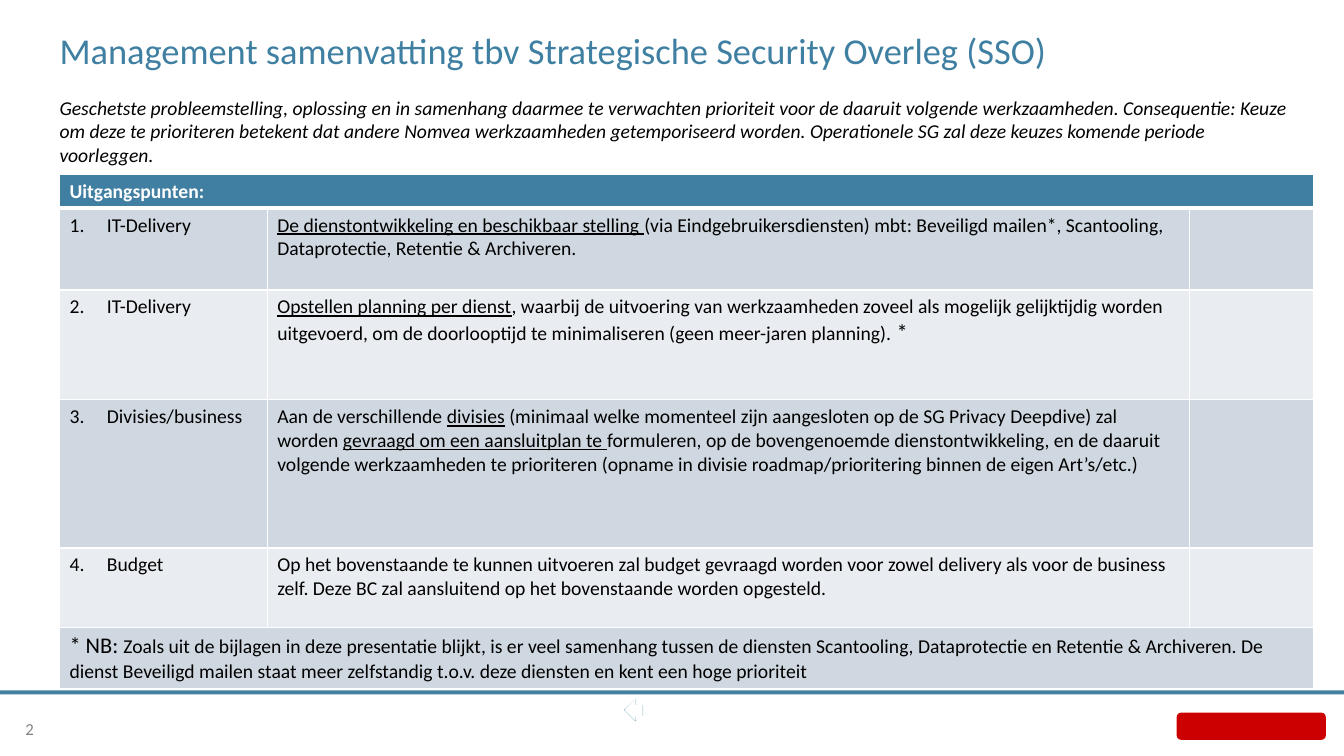
from pptx import Presentation
from pptx.dml.color import RGBColor
from pptx.enum.shapes import MSO_SHAPE
from pptx.enum.text import MSO_ANCHOR, MSO_AUTO_SIZE, PP_ALIGN
from pptx.oxml.xmlchemy import OxmlElement
from pptx.util import Inches, Pt

FONT = "Calibri"
TITLE_BLUE, BLUE = "3E7FA2", "417FA2"
BLACK, WHITE, GREY, RED = "000000", "FFFFFF", "828282", "CC0000"
BANDS = ("CFD8E0", "E9ECF0")

TITLE = "Management samenvatting tbv Strategische Security Overleg (SSO)"
INTRO = (
    "Geschetste probleemstelling, oplossing en in samenhang daarmee te verwachten prioriteit "
    "voor de daaruit volgende werkzaamheden. Consequentie: Keuze om deze te prioriteren betekent "
    "dat andere Nomvea werkzaamheden getemporiseerd worden. Operationele SG zal deze keuzes "
    "komende periode voorleggen."
)
COLUMNS = (2.06, 9.15, 1.23)
ROWS = (0.33, 0.81, 1.09, 1.47, 0.79, 0.6)
HEADING = "Uitgangspunten:"
# Each point: owner, then spans of (text, format)
UNDERLINE, LARGE = {"underline": True}, {"size": 16}
POINTS = [
    ("IT-Delivery", [
        ("De dienstontwikkeling en beschikbaar stelling ", UNDERLINE),
        ("(via Eindgebruikersdiensten) mbt: Beveiligd mailen*, Scantooling, Dataprotectie, "
         "Retentie & Archiveren.", {}),
    ]),
    ("IT-Delivery", [
        ("Opstellen planning per dienst", UNDERLINE),
        (", waarbij de uitvoering van werkzaamheden zoveel als mogelijk gelijktijdig worden "
         "uitgevoerd, om de doorlooptijd te minimaliseren (geen meer-jaren planning). ", {}),
        ("*", LARGE),
    ]),
    ("Divisies/business", [
        ("Aan de verschillende ", {}),
        ("divisies", UNDERLINE),
        (" (minimaal welke momenteel zijn aangesloten op de SG Privacy Deepdive) zal worden ", {}),
        ("gevraagd om een aansluitplan te ", UNDERLINE),
        ("formuleren, op de bovengenoemde dienstontwikkeling, en de daaruit volgende "
         "werkzaamheden te prioriteren (opname in divisie roadmap/prioritering binnen de eigen "
         "Art’s/etc.)", {}),
    ]),
    ("Budget", [
        ("Op het bovenstaande te kunnen uitvoeren zal budget gevraagd worden voor zowel delivery "
         "als voor de business zelf. Deze BC zal aansluitend op het bovenstaande worden "
         "opgesteld.", {}),
    ]),
]
NOTE = [
    ("* NB: ", LARGE),
    ("Zoals uit de bijlagen in deze presentatie blijkt, is er veel samenhang tussen de diensten "
     "Scantooling, Dataprotectie en Retentie & Archiveren. De dienst Beveiligd mailen staat meer "
     "zelfstandig t.o.v. deze diensten en kent een hoge prioriteit", {}),
]


def color(value):
    return RGBColor.from_string(value)


def place(shape, box):
    shape.left, shape.top, shape.width, shape.height = map(Inches, box)


def add_span(para, text, size=14, fill=BLACK, bold=False, italic=False, underline=False):
    span = para.add_run()
    span.text = text
    font = span.font
    font.name, font.size, font.bold, font.italic = FONT, Pt(size), bold, italic
    font.underline = underline
    font.color.rgb = color(fill)


def set_bullet(para, number=None):
    """Number the paragraph, or take its bullet away when there is no number."""
    properties = para._p.get_or_add_pPr()
    indent = Inches(0.37) if number else 0
    properties.set("marL", str(indent))
    properties.set("indent", str(-indent))
    bullet = OxmlElement("a:buAutoNum" if number else "a:buNone")
    if number:
        bullet.set("type", "arabicPeriod")
        bullet.set("startAt", str(number))
    properties.append(bullet)


def prepare_frame(shape, anchor):
    frame = shape.text_frame
    frame.margin_left = frame.margin_top = frame.margin_right = frame.margin_bottom = 0
    frame.word_wrap = True
    frame.auto_size = MSO_AUTO_SIZE.NONE
    frame.vertical_anchor = anchor
    return frame.paragraphs[0]


def fill_title(page, box):
    title = page.shapes.title
    place(title, box)
    para = prepare_frame(title, MSO_ANCHOR.MIDDLE)
    para.alignment = PP_ALIGN.LEFT
    para.line_spacing = 0.8
    add_span(para, TITLE, 26, TITLE_BLUE)


def fill_intro(page, box):
    body = page.placeholders[1]
    place(body, box)
    para = prepare_frame(body, MSO_ANCHOR.TOP)
    set_bullet(para)
    para.space_before = Pt(0)
    add_span(para, INTRO, italic=True)


def style_cell(cell, fill, bottom=1, top=1):
    """Draw white borders, with widths in points, and fill the cell."""
    properties = cell._tc.get_or_add_tcPr()
    for side, width in (("L", 1), ("R", 1), ("T", top), ("B", bottom)):
        line = OxmlElement(f"a:ln{side}")
        line.set("w", str(Pt(width)))
        paint = OxmlElement("a:solidFill")
        tint = OxmlElement("a:srgbClr")
        tint.set("val", WHITE)
        paint.append(tint)
        line.append(paint)
        properties.append(line)
    cell.fill.solid()
    cell.fill.fore_color.rgb = color(fill)


def add_points_table(page, box):
    frame = page.shapes.add_table(len(ROWS), len(COLUMNS), *map(Inches, box))
    table = frame.table
    table.first_row = table.horz_banding = False
    for column, width in zip(table.columns, COLUMNS):
        column.width = Inches(width)
    for index, (row, height) in enumerate(zip(table.rows, ROWS)):
        row.height = Inches(height)
        for cell in row.cells:
            style_cell(cell, BANDS[(index - 1) % 2] if index else BLUE,
                       bottom=1 if index else 3, top=3 if index == 1 else 1)
    last = len(ROWS) - 1
    for index in (0, last):
        table.cell(index, 0).merge(table.cell(index, len(COLUMNS) - 1))

    add_span(table.cell(0, 0).text_frame.paragraphs[0], HEADING, fill=WHITE, bold=True)
    for number, (owner, spans) in enumerate(POINTS, 1):
        para = table.cell(number, 0).text_frame.paragraphs[0]
        set_bullet(para, number)
        add_span(para, owner)
        add_spans(table.cell(number, 1), spans)
    add_spans(table.cell(last, 0), NOTE)


def add_spans(cell, spans):
    para = cell.text_frame.paragraphs[0]
    for text, style in spans:
        add_span(para, text, **style)


def add_block(page, kind, box, fill):
    block = page.shapes.add_shape(kind, *map(Inches, box))
    block.shadow.inherit = False
    block.fill.solid()
    block.fill.fore_color.rgb = color(fill)
    block.line.fill.background()


def add_back_arrow(page, left, top):
    """Draw a hollow left arrow from two outlines in hundredths of an inch."""
    outer = [(13, 0), (13, 7), (20, 7), (20, 19), (13, 19), (13, 25), (0, 12)]
    inner = [(12, 2), (2, 12), (12, 22), (12, 18), (19, 18), (19, 8), (12, 8)]
    builder = page.shapes.build_freeform(*outer[0], scale=Inches(0.01))
    builder.add_line_segments(outer[1:], close=True)
    builder.move_to(*inner[0])
    builder.add_line_segments(inner[1:], close=True)
    arrow = builder.convert_to_shape(Inches(left), Inches(top))
    arrow.shadow.inherit = False
    arrow.fill.solid()
    arrow.fill.fore_color.rgb = color(BLUE)
    arrow.line.color.rgb = color(WHITE)
    arrow.line.width = Pt(0.75)


def add_footer(page, box):
    left, top, width, height = box
    add_block(page, MSO_SHAPE.RECTANGLE, (left, top, width, 0.04), "427FA1")
    add_back_arrow(page, left + 6.18, top + 0.07)
    add_block(page, MSO_SHAPE.ROUNDED_RECTANGLE,
              (left + width - 1.66, top + 0.22, 1.48, 0.27), RED)
    number = page.shapes.add_textbox(*map(Inches, (left, top + 0.25, 0.59, 0.25)))
    para = prepare_frame(number, MSO_ANCHOR.MIDDLE)
    para.alignment = PP_ALIGN.CENTER
    add_span(para, "2", 12, GREY)


def main():
    deck = Presentation()
    deck.slide_width, deck.slide_height = Inches(13.33), Inches(7.5)
    page = deck.slides.add_slide(deck.slide_layouts[1])
    fill_title(page, (0.59, 0.37, 12.15, 0.33))
    fill_intro(page, (0.59, 0.95, 12.28, 0.75))
    add_points_table(page, (0.59, 1.73, sum(COLUMNS), sum(ROWS)))
    add_footer(page, (0, 6.85, 13.33, 0.65))
    deck.save("out.pptx")


if __name__ == "__main__":
    main()
